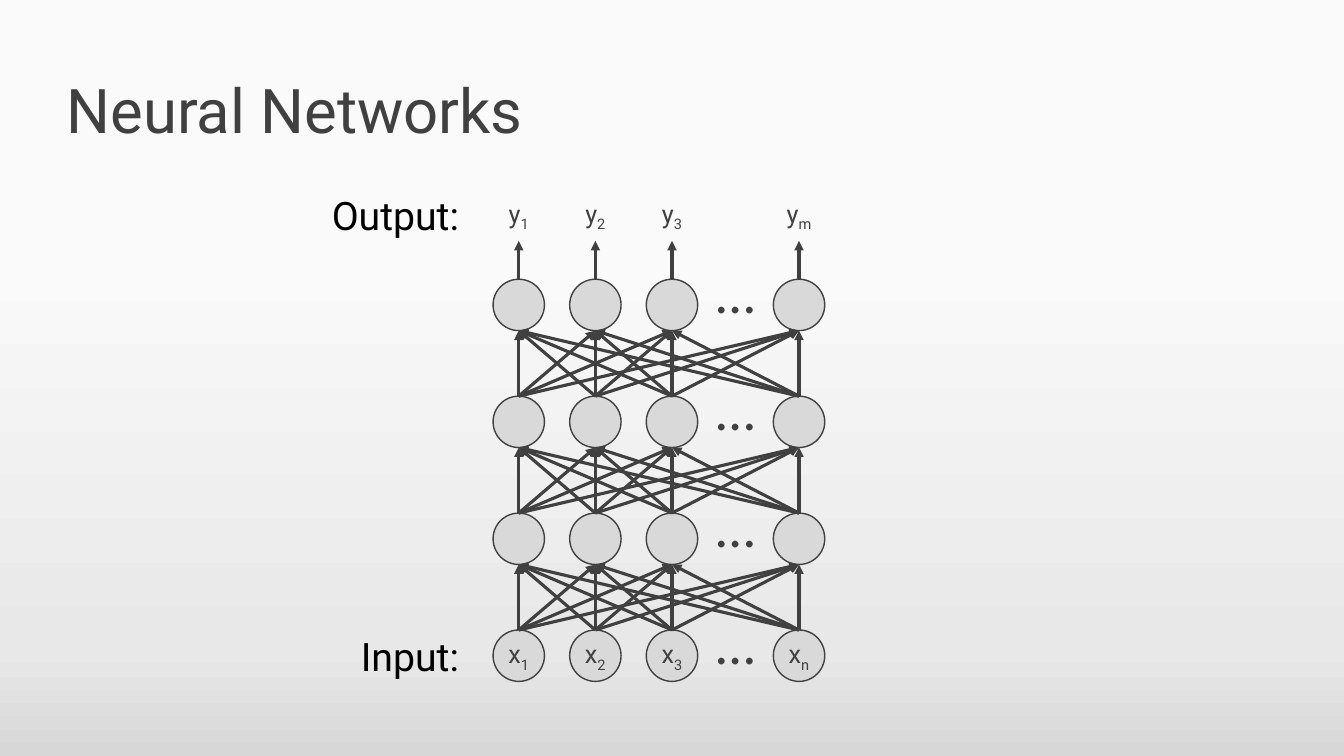
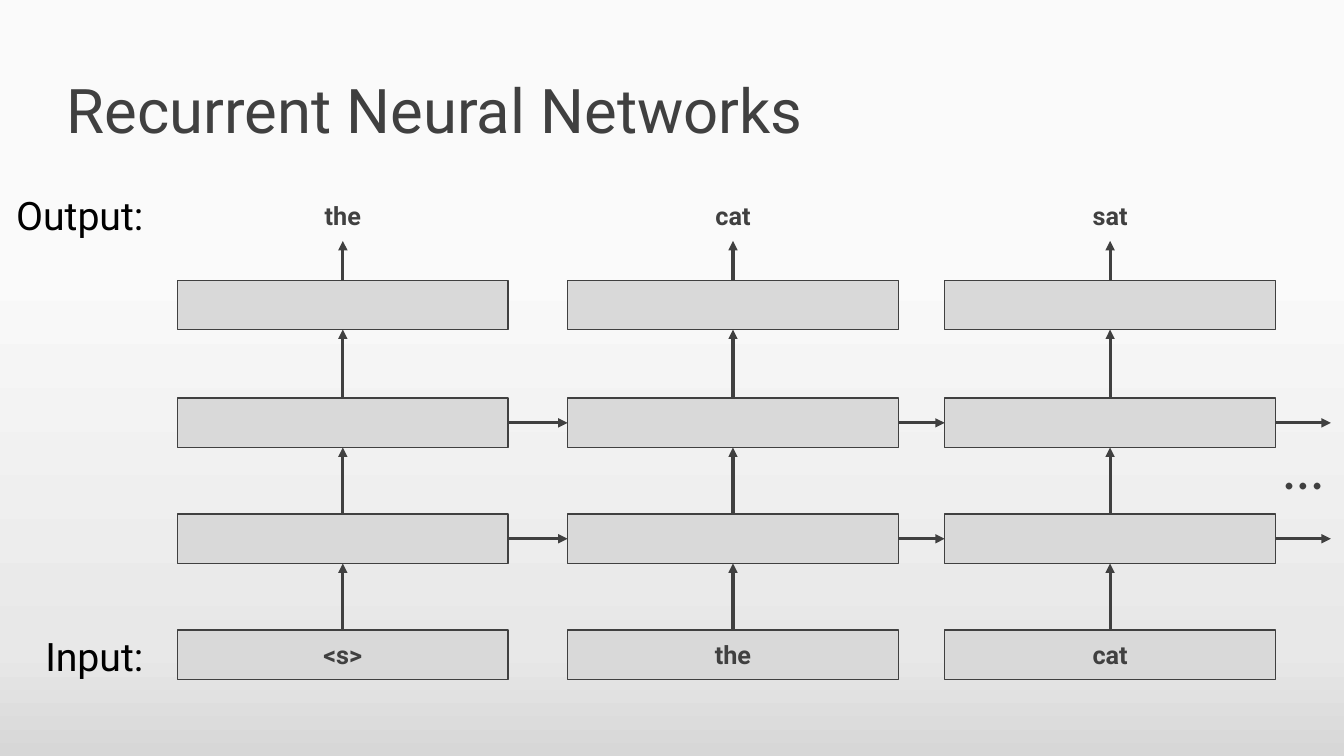
from itertools import pairwise, product

from lxml.etree import SubElement
from pptx import Presentation
from pptx.dml.color import RGBColor
from pptx.enum.shapes import MSO_CONNECTOR, MSO_SHAPE
from pptx.enum.text import MSO_ANCHOR, MSO_AUTO_SIZE, PP_ALIGN
from pptx.oxml import parse_xml
from pptx.oxml.ns import nsdecls, qn
from pptx.util import Inches, Pt

COLORS = {"ink": "404040", "node": "D9D9D9", "label": "000000"}
BACKGROUND_STOPS = [(34, "FAFAFA"), (86, "E8E8E8"), (100, "D7D7D7"), (100, "E4E4E4")]
FONT = "Roboto"
OUTPUT_ARROW_TIP = 2.39

NETWORK = {
    "title": "Neural Networks",
    "label_right": 4.65,
    "lefts": [4.89, 5.65, 6.41, 7.67],
    "tops": [2.77, 3.93, 5.09, 6.25],
    "diameter": 0.51,
    "output_top": 1.88,
    "inputs": [("x", "1"), ("x", "2"), ("x", "3"), ("x", "n")],
    "outputs": [("y", "1"), ("y", "2"), ("y", "3"), ("y", "m")],
    "dots_left": 6.92,
    "dots_rise": 0.26,
}
RECURRENT = {
    "title": "Recurrent Neural Networks",
    "label_right": 1.52,
    "lefts": [1.76, 5.63, 9.37],
    "tops": [2.78, 3.95, 5.1, 6.25],
    "width": 3.28,
    "height": 0.49,
    "output_top": 1.89,
    "inputs": ["<s>", "the", "cat"],
    "outputs": ["the", "cat", "sat"],
    "recurrent_tops": [3.95, 5.1],
    "last_arrow_tip": 13.2,
    "dots": (12.55, 4.25),
}


def rgb(name):
    return RGBColor.from_string(COLORS[name])


def add_run(paragraph, text, size, color="ink", font=FONT, bold=False, subscript=False):
    run = paragraph.add_run()
    run.text = text
    run.font.name = font
    run.font.size = Pt(size)
    run.font.bold = bold
    run.font.color.rgb = rgb(color)
    if subscript:
        run._r.get_or_add_rPr().set("baseline", "-25000")


def set_background(master):
    master.background.fill.solid()
    solid = next(master.element.iter(qn("p:bgPr"))).find(qn("a:solidFill"))
    stops = "".join(
        f'<a:gs pos="{position * 1000}"><a:srgbClr val="{color}"/></a:gs>'
        for position, color in BACKGROUND_STOPS
    )
    gradient = parse_xml(
        f'<a:gradFill {nsdecls("a")} rotWithShape="1"><a:gsLst>{stops}</a:gsLst>'
        '<a:lin ang="5400000" scaled="0"/></a:gradFill>'
    )
    solid.getparent().replace(solid, gradient)


def add_text(slide, left, top, width, height, text, size, align=PP_ALIGN.CENTER, **style):
    box = slide.shapes.add_textbox(Inches(left), Inches(top), Inches(width), Inches(height))
    box.text_frame.word_wrap = True
    paragraph = box.text_frame.paragraphs[0]
    paragraph.alignment = align
    add_run(paragraph, text, size, **style)
    return box


def add_dots(slide, left, top):
    add_text(slide, left, top, 0.75, 0.77, "…", 40, font="Calibri")


def add_node(slide, kind, left, top, width, height, filled=True):
    node = slide.shapes.add_shape(kind, Inches(left), Inches(top), Inches(width), Inches(height))
    node.shadow.inherit = False
    if filled:
        node.fill.solid()
        node.fill.fore_color.rgb = rgb("node")
        node.line.color.rgb = rgb("ink")
        node.line.width = Pt(1)
    else:
        node.fill.background()
        node.line.fill.background()
    node.text_frame.vertical_anchor = MSO_ANCHOR.MIDDLE
    node.text_frame.paragraphs[0].alignment = PP_ALIGN.CENTER
    return node


def add_arrow(slide, start, end):
    arrow = slide.shapes.add_connector(
        MSO_CONNECTOR.STRAIGHT, *(Inches(value) for value in (*start, *end))
    )
    arrow.line.color.rgb = rgb("ink")
    arrow.line.width = Pt(2.25)
    properties = arrow._element.spPr
    SubElement(properties.find(qn("a:ln")), qn("a:tailEnd"), type="triangle")
    SubElement(properties, qn("a:effectLst"))


def add_titled_slide(presentation, content):
    slide = presentation.slides.add_slide(presentation.slide_layouts[5])
    title = slide.shapes.title
    title.left, title.top = Inches(0.56), Inches(0.4)
    title.width, title.height = Inches(12.21), Inches(1.45)
    title.text_frame.auto_size = MSO_AUTO_SIZE.NONE
    title.text_frame.vertical_anchor = MSO_ANCHOR.MIDDLE
    paragraph = title.text_frame.paragraphs[0]
    paragraph.alignment = PP_ALIGN.LEFT
    paragraph.line_spacing = 0.9
    add_run(paragraph, content["title"], 44)
    for text, top in (("Output:", 1.85), ("Input:", 6.22)):
        add_text(slide, content["label_right"] - 1.52, top, 1.52, 0.57, text, 28,
                 align=PP_ALIGN.RIGHT, color="label")
    return slide


def add_symbol(node, symbol):
    letter, index = symbol
    node.text_frame.word_wrap = False
    paragraph = node.text_frame.paragraphs[0]
    add_run(paragraph, letter, 18)
    add_run(paragraph, index, 18, subscript=True)


def build_network(presentation):
    slide = add_titled_slide(presentation, NETWORK)
    lefts, tops, diameter = NETWORK["lefts"], NETWORK["tops"], NETWORK["diameter"]
    centers = [left + diameter / 2 for left in lefts]

    def add_circles(top, symbols=None, filled=True):
        for index, left in enumerate(lefts):
            circle = add_node(slide, MSO_SHAPE.OVAL, left, top, diameter, diameter, filled)
            if symbols:
                add_symbol(circle, symbols[index])

    add_circles(NETWORK["output_top"], NETWORK["outputs"], filled=False)
    for top in tops:
        add_circles(top, NETWORK["inputs"] if top == tops[-1] else None)
        add_dots(slide, NETWORK["dots_left"], top - NETWORK["dots_rise"])
    for upper, lower in pairwise(tops):
        for start, end in product(centers, repeat=2):
            add_arrow(slide, (start, lower), (end, upper + diameter))
    for center in centers:
        add_arrow(slide, (center, tops[0]), (center, OUTPUT_ARROW_TIP))


def build_recurrent(presentation):
    slide = add_titled_slide(presentation, RECURRENT)
    lefts, tops = RECURRENT["lefts"], RECURRENT["tops"]
    width, height = RECURRENT["width"], RECURRENT["height"]
    for left, source, target in zip(lefts, RECURRENT["inputs"], RECURRENT["outputs"]):
        center = left + width / 2
        for top in tops:
            layer = add_node(slide, MSO_SHAPE.RECTANGLE, left, top, width, height)
        add_run(layer.text_frame.paragraphs[0], source, 18, bold=True)
        word = add_text(slide, left, RECURRENT["output_top"], width, height, target, 18, bold=True)
        word.text_frame.vertical_anchor = MSO_ANCHOR.MIDDLE
        tips = [OUTPUT_ARROW_TIP] + [top + height for top in tops[:-1]]
        for top, tip in zip(tops, tips):
            add_arrow(slide, (center, top), (center, tip))
    for left, tip in pairwise(lefts + [RECURRENT["last_arrow_tip"]]):
        for top in RECURRENT["recurrent_tops"]:
            middle = top + height / 2
            add_arrow(slide, (left + width, middle), (tip, middle))
    add_dots(slide, *RECURRENT["dots"])


def main():
    presentation = Presentation()
    presentation.slide_width = Inches(13.33)
    presentation.slide_height = Inches(7.5)
    set_background(presentation.slide_master)
    build_network(presentation)
    build_recurrent(presentation)
    presentation.save("out.pptx")


if __name__ == "__main__":
    main()
